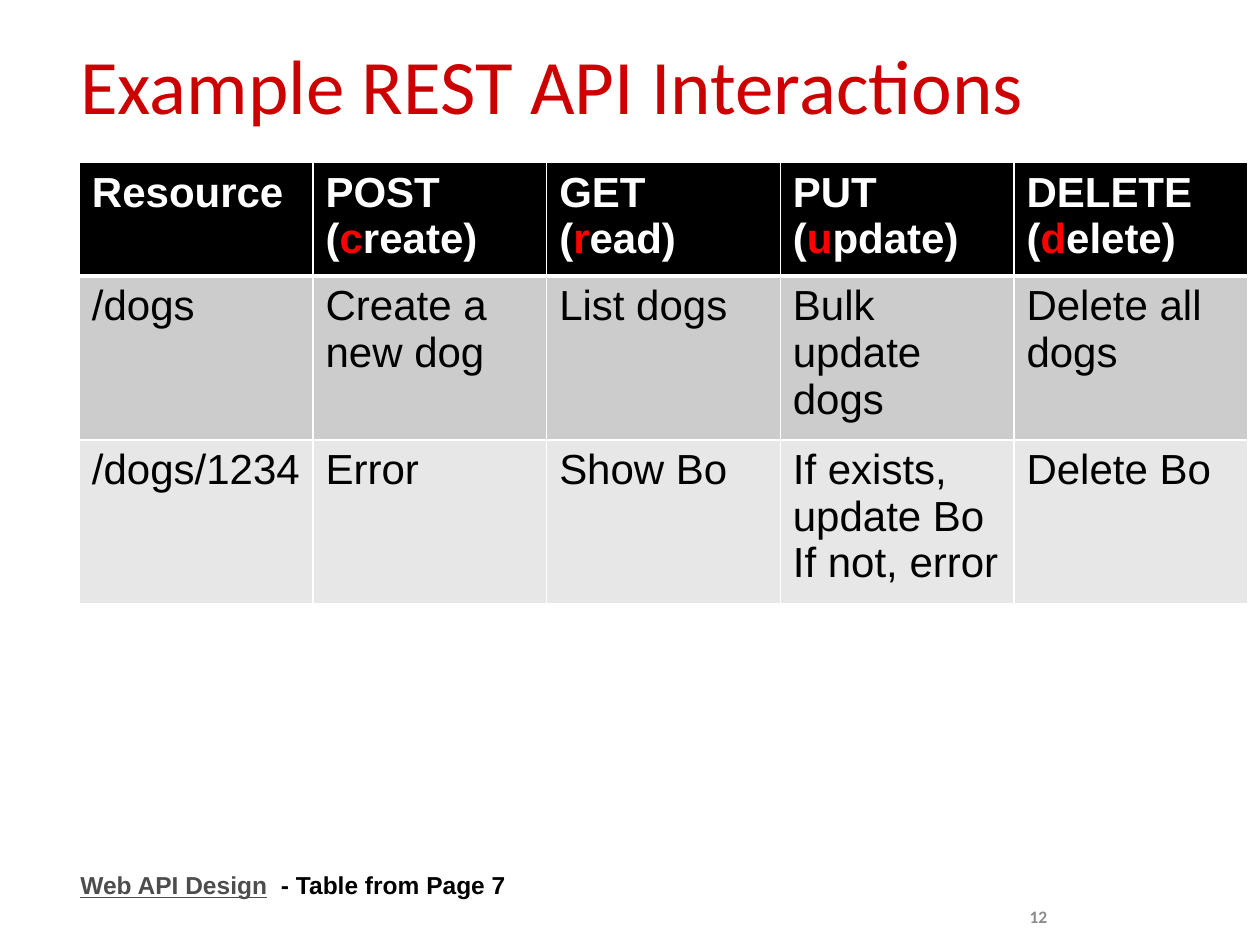
from lxml import etree
from pptx import Presentation
from pptx.dml.color import RGBColor
from pptx.enum.text import MSO_ANCHOR, MSO_AUTO_SIZE, PP_ALIGN
from pptx.oxml.ns import qn
from pptx.util import Cm, Pt

MIDDLE, TOP = MSO_ANCHOR.MIDDLE, MSO_ANCHOR.TOP
LEFT, RIGHT = PP_ALIGN.LEFT, PP_ALIGN.RIGHT
FIT = MSO_AUTO_SIZE.SHAPE_TO_FIT_TEXT
WHITE, BLACK, RED = "FFFFFF", "000000", "FF0000"

# Each head cell: verb, highlighted letter, rest of the word, split in two lines
HEADS = [("POST", "c", "reate", False), ("GET", "r", "ead", True),
         ("PUT", "u", "pdate", False), ("DELETE", "d", "elete", False)]
ROWS = [
    ("CCCCCC", ["/dogs", "Create a new dog", "List dogs",
                "Bulk update dogs", "Delete all dogs"]),
    ("E7E7E7", ["/dogs/1234", "Error", "Show Bo",
                "If exists, update Bo\nIf not, error", "Delete Bo"]),
]


def paint(target, color):
    """Give a fill or a font a solid colour from a hex string."""
    if hasattr(target, "solid"):
        target.solid()
        target.fore_color.rgb = RGBColor.from_string(color)
    else:
        target.color.rgb = RGBColor.from_string(color)


def write(frame, lines, size, face, bold=False, align=LEFT):
    """Fill a text frame; each line is a list of (text, colour, underline)."""
    for i, line in enumerate(lines):
        para = frame.paragraphs[0] if i == 0 else frame.add_paragraph()
        para.alignment = align
        for text, color, under in line:
            run = para.add_run()
            run.text = text
            font = run.font
            font.size, font.name, font.bold = Pt(size), face, bold
            if under:
                font.underline = True
            paint(font, color)


def label(slide, box, runs, size, face, bold=False, align=LEFT,
          anchor=MIDDLE, wrap=True):
    """Place a one-line text box."""
    frame = slide.shapes.add_textbox(*map(Cm, box)).text_frame
    frame.word_wrap, frame.vertical_anchor = wrap, anchor
    if not wrap:
        frame.auto_size = FIT
    write(frame, [runs], size, face, bold, align)


def edge(cell, base):
    """Draw white cell borders, the bottom one of the given width."""
    props = cell._tc.get_or_add_tcPr()
    for i, (side, width) in enumerate(
            [("lnL", 1), ("lnR", 1), ("lnT", 1), ("lnB", base)]):
        line = etree.Element(qn("a:" + side), w=str(Pt(width)))
        fill = etree.SubElement(line, qn("a:solidFill"))
        etree.SubElement(fill, qn("a:srgbClr"), val=WHITE)
        props.insert(i, line)


def head(verb, key, rest, split):
    """Return the lines of a head cell."""
    word = [(key, RED, False), (rest + ")", WHITE, False)]
    if split:
        return [[(verb + " ", WHITE, False)], [("(", WHITE, False)] + word]
    return [[(verb + " (", WHITE, False)] + word]


def grid(slide, box, heights):
    """Place the table of resources and verbs."""
    top = [[[("Resource", WHITE, False)]]] + [head(*h) for h in HEADS]
    rows = [(BLACK, top)] + [
        (fill, [[[(part, BLACK, False)] for part in text.split("\n")]
                for text in texts]) for fill, texts in ROWS]
    table = slide.shapes.add_table(len(rows), len(top), *map(Cm, box)).table
    for col in table.columns:
        col.width = Cm(box[2] / len(top))
    for r, (fill, cells) in enumerate(rows):
        table.rows[r].height = Cm(heights[r])
        for c, lines in enumerate(cells):
            cell = table.cell(r, c)
            paint(cell.fill, fill)
            edge(cell, 3 if r == 0 else 1)
            if r == 1:
                edge_top(cell)
            write(cell.text_frame, lines, 24, "Arial", r == 0)


def edge_top(cell):
    """Match the top border to the thick line under the head row."""
    cell._tc.tcPr.find(qn("a:lnT")).set("w", str(Pt(3)))


def build():
    """Build and save the slide."""
    deck = Presentation()
    deck.slide_width, deck.slide_height = Cm(25.4), Cm(19.05)
    slide = deck.slides.add_slide(deck.slide_layouts[6])
    label(slide, (1.37, 0.1, 24.03, 3.18),
          [("Example REST API Interactions", "CC0000", False)], 44, "Calibri")
    grid(slide, (1.6, 3.28, 23.55, 8.2), (2.1, 3.05, 3.05))
    label(slide, (1.37, 17.42, 9.12, 0.86),
          [("Web API Design", "4D4D4D", True),
           ("  - Table from Page 7", BLACK, False)],
          14, "Arial", True, anchor=TOP, wrap=False)
    label(slide, (15.44, 17.96, 5.92, 1.02), [("12", "8C8C8C", False)],
          10, "Calibri", True, RIGHT)
    deck.save("out.pptx")


build()
